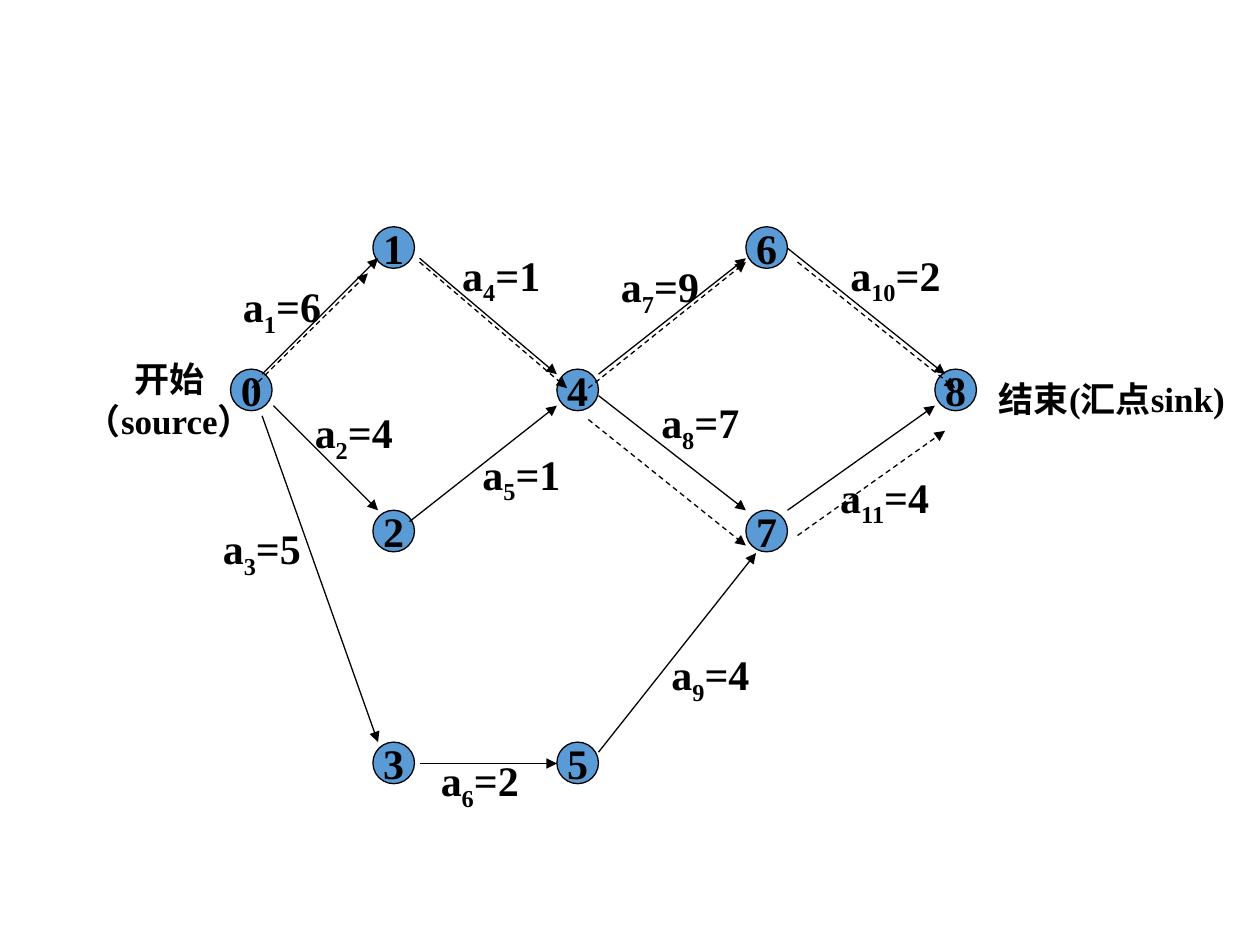
from dataclasses import dataclass

from lxml import etree
from pptx import Presentation
from pptx.dml.color import RGBColor
from pptx.enum.dml import MSO_LINE
from pptx.enum.shapes import MSO_CONNECTOR, MSO_SHAPE
from pptx.enum.text import MSO_ANCHOR, MSO_AUTO_SIZE, PP_ALIGN
from pptx.oxml.ns import qn
from pptx.util import Inches, Pt

STRAIGHT = MSO_CONNECTOR.STRAIGHT
OVAL = MSO_SHAPE.OVAL
DASH = MSO_LINE.DASH
MIDDLE = MSO_ANCHOR.MIDDLE
GROW = MSO_AUTO_SIZE.SHAPE_TO_FIT_TEXT
LEFT, CENTER = PP_ALIGN.LEFT, PP_ALIGN.CENTER


@dataclass(frozen=True)
class Theme:
    font: str = "Times New Roman"
    ink: RGBColor = RGBColor(0x00, 0x00, 0x00)
    node_fill: RGBColor = RGBColor(0x5B, 0x9B, 0xD5)
    label_size: Pt = Pt(24)
    caption_size: Pt = Pt(20)
    line_width: Pt = Pt(0.75)


THEME = Theme()

NODE_SIZE = 0.33
COLUMNS = (0, 1.13, 2.59, 4.09, 5.59)
ROWS = (0, 1.13, 2.25, 4.09)
# event: (column, row)
NODES = {0: (0, 1), 1: (1, 0), 2: (1, 2), 3: (1, 3), 4: (2, 1),
         5: (2, 3), 6: (3, 0), 7: (3, 2), 8: (4, 1)}
# activity: (duration, start, end, label position), in inches from the network's corner
ACTIVITIES = {
    1: (6, (0.25, 1.17), (1.17, 0.25), (0, 0.38)),
    2: (4, (0.34, 1.42), (1.17, 2.25), (0.57, 1.38)),
    3: (5, (0.25, 1.5), (1.17, 4.09), (-0.16, 2.3)),
    4: (1, (1.5, 0.25), (2.59, 1.17), (1.74, 0.13)),
    5: (1, (1.42, 2.34), (2.59, 1.42), (1.9, 1.71)),
    6: (2, (1.5, 4.26), (2.59, 4.26), (1.57, 4.14)),
    7: (9, (2.92, 1.17), (4.09, 0.25), (3, 0.22)),
    8: (7, (2.92, 1.34), (4.09, 2.25), (3.32, 1.3)),
    9: (4, (2.92, 4.17), (4.17, 2.59), (3.4, 3.3)),
    10: (2, (4.42, 0.17), (5.67, 1.17), (4.82, 0.13)),
    11: (4, (4.42, 2.25), (5.59, 1.42), (4.74, 1.89)),
}
CRITICAL_PATHS = (
    ((0.17, 1.28), (1.09, 0.37)),
    ((1.5, 0.28), (2.67, 1.28)),
    ((2.84, 1.28), (4.09, 0.28)),
    ((2.84, 1.53), (4.09, 2.53)),
    ((4.5, 2.45), (5.67, 1.62)),
    ((4.5, 0.28), (5.75, 1.28)),
)


def add_run(paragraph, text, size, subscript=False):
    run = paragraph.add_run()
    run.text = text
    run.font.name = THEME.font
    run.font.size = size
    run.font.bold = True
    run.font.color.rgb = THEME.ink
    if subscript:
        run._r.get_or_add_rPr().set("baseline", "-25000")


def add_node(slide, left, top, number):
    node = slide.shapes.add_shape(OVAL, Inches(left), Inches(top),
                                  Inches(NODE_SIZE), Inches(NODE_SIZE))
    node.shadow.inherit = False
    node.fill.solid()
    node.fill.fore_color.rgb = THEME.node_fill
    node.line.color.rgb = THEME.ink
    node.line.width = THEME.line_width
    frame = node.text_frame
    frame.word_wrap = False
    frame.vertical_anchor = MIDDLE
    paragraph = frame.paragraphs[0]
    paragraph.alignment = CENTER
    add_run(paragraph, str(number), THEME.label_size)


def add_arrow(slide, left, top, start, end, dashed=False):
    """Draw an arrow between two points measured from (left, top)."""
    arrow = slide.shapes.add_connector(
        STRAIGHT, Inches(left + start[0]), Inches(top + start[1]),
        Inches(left + end[0]), Inches(top + end[1]))
    arrow.line.color.rgb = THEME.ink
    arrow.line.width = THEME.line_width
    if dashed:
        arrow.line.dash_style = DASH
    properties = arrow._element.spPr
    etree.SubElement(properties.find(qn("a:ln")), qn("a:tailEnd"), type="triangle")
    etree.SubElement(properties, qn("a:effectLst"))


def add_text_frame(slide, left, top, width, height, wrap):
    box = slide.shapes.add_textbox(Inches(left), Inches(top), Inches(width), Inches(height))
    frame = box.text_frame
    frame.word_wrap = wrap
    frame.auto_size = GROW
    return frame


def add_activity_label(slide, left, top, number, duration):
    width = 0.84 if number < 10 else 0.95
    paragraph = add_text_frame(slide, left, top, width, 0.51, False).paragraphs[0]
    add_run(paragraph, "a", THEME.label_size)
    add_run(paragraph, str(number), THEME.label_size, subscript=True)
    add_run(paragraph, f"={duration}", THEME.label_size)


def add_caption(slide, left, top, width, height, lines, alignment):
    frame = add_text_frame(slide, left, top, width, height, True)
    for index, line in enumerate(lines):
        paragraph = frame.add_paragraph() if index else frame.paragraphs[0]
        paragraph.alignment = alignment
        add_run(paragraph, line, THEME.caption_size)


def add_network(slide, left, top):
    """Place the activity network with its corner at (left, top)."""
    for number, (column, row) in NODES.items():
        add_node(slide, left + COLUMNS[column], top + ROWS[row], number)
    for _, start, end, _ in ACTIVITIES.values():
        add_arrow(slide, left, top, start, end)
    for number, (duration, _, _, (x, y)) in ACTIVITIES.items():
        add_activity_label(slide, left + x, top + y, number, duration)
    for start, end in CRITICAL_PATHS:
        add_arrow(slide, left, top, start, end, dashed=True)
    add_caption(slide, left - 1.25, top + 0.99, 1.53, 0.77, ("开始", "（source）"), CENTER)
    add_caption(slide, left + 6, top + 1.15, 2, 0.43, ("结束(汇点sink)",), LEFT)


def main():
    presentation = Presentation()
    presentation.slide_width = Inches(10)
    presentation.slide_height = Inches(7.5)
    slide = presentation.slides.add_slide(presentation.slide_layouts[6])
    add_network(slide, 1.83, 1.8)
    presentation.save("out.pptx")


if __name__ == "__main__":
    main()
